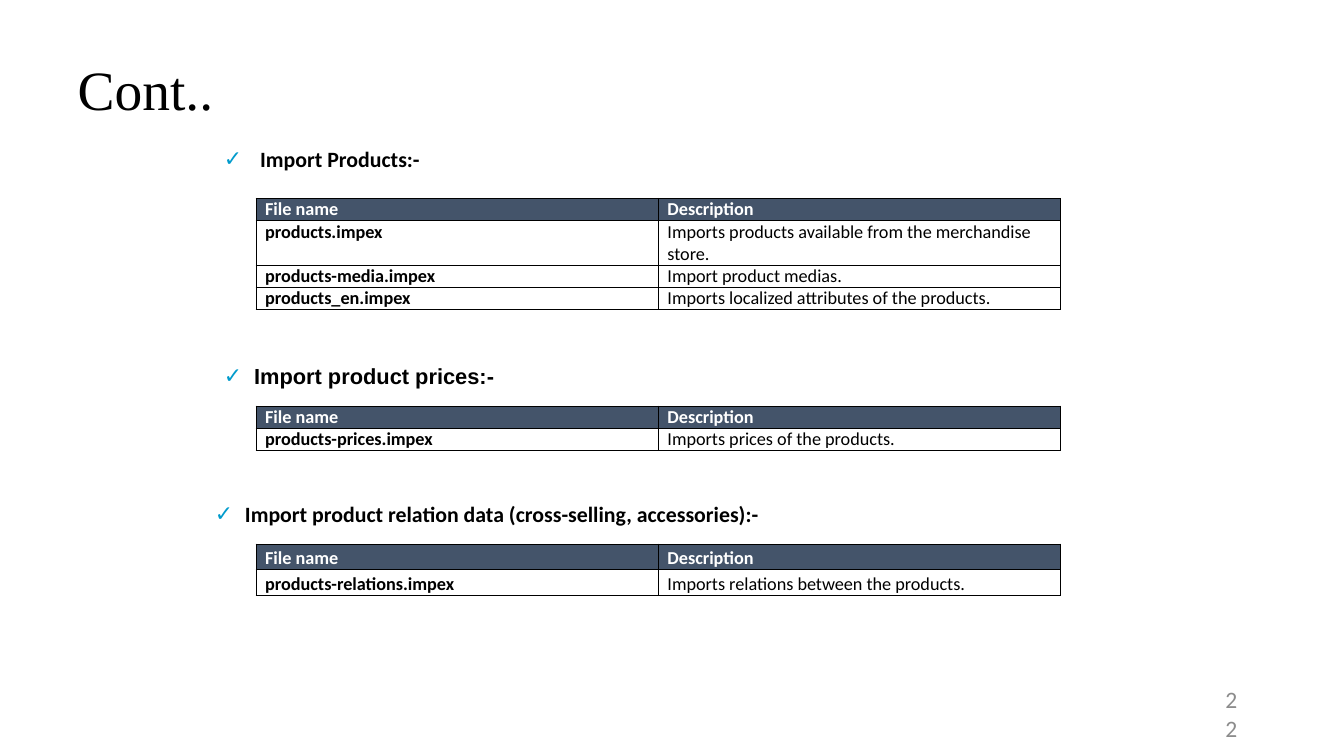
from lxml.etree import SubElement
from pptx import Presentation
from pptx.dml.color import RGBColor
from pptx.enum.text import MSO_ANCHOR, MSO_AUTO_SIZE, PP_ALIGN
from pptx.oxml.ns import qn
from pptx.util import Inches, Pt

BLACK, WHITE, SLATE, TEAL, GRAY = "000000", "FFFFFF", "44546A", "009BCC", "8C8C8C"
HEADER = ("File name", "Description")
TABLE_LEFT, COLUMN_WIDTH = 2.54, 3.99

SECTIONS = [
    {
        "heading": "Import Products:-", "font": "Calibri",
        "box": (1.32, 1.41, 10.5, 0.38), "indent": (0.94, -0.36),
        "table_top": 1.97, "heights": (0.22, 0.44, 0.22, 0.22), "spacing": 1.0,
        "files": [
            ("products.impex", "Imports products available from the merchandise store."),
            ("products-media.impex", "Import product medias."),
            ("products_en.impex", "Imports localized attributes of the products."),
        ],
    },
    {
        "heading": "Import product prices:-", "font": "Arial",
        "box": (1.6, 3.56, 10.5, 0.47), "indent": (0.6, -0.3),
        "table_top": 4.03, "heights": (0.22, 0.22), "spacing": 1.0,
        "files": [("products-prices.impex", "Imports prices of the products.")],
    },
    {
        "heading": "Import product relation data (cross-selling, accessories):-",
        "font": "Calibri",
        "box": (1.51, 4.93, 10.5, 0.47), "indent": (0.6, -0.3),
        "table_top": 5.4, "heights": (0.25, 0.25), "spacing": 1.15,
        "files": [("products-relations.impex", "Imports relations between the products.")],
    },
]


def color(value):
    """Turn a hex string into a colour."""
    return RGBColor.from_string(value)


class SlideBuilder:
    """Hold the text style and the current slide."""

    def __init__(self, slide, font="Calibri"):
        """Keep the slide and its main font."""
        self.slide = slide
        self.font = font

    def set_text(self, frame, text, size, ink, bold=False, font=None):
        """Put one formatted paragraph in a text frame."""
        paragraph = frame.paragraphs[0]
        paragraph.text = text
        for run in paragraph.runs:
            run.font.size = Pt(size)
            run.font.name = font or self.font
            run.font.bold = bold
            run.font.color.rgb = color(ink)
        return paragraph

    def place(self, shape, box):
        """Move and size a shape."""
        shape.left, shape.top, shape.width, shape.height = map(Inches, box)

    def title(self, text):
        """Fill the title placeholder."""
        heading = self.slide.shapes.title
        self.place(heading, (0.67, 0, 12, 1.3))
        frame = heading.text_frame
        frame.auto_size = MSO_AUTO_SIZE.NONE
        frame.vertical_anchor = MSO_ANCHOR.BOTTOM
        frame.margin_bottom = Inches(0.08)
        paragraph = self.set_text(frame, text, 39.6, BLACK, font="Times New Roman")
        paragraph.alignment = PP_ALIGN.LEFT
        paragraph.line_spacing = 0.9

    def check_item(self, body, text, box, indent, font):
        """Fill a body placeholder with a check-marked heading."""
        self.place(body, box)
        frame = body.text_frame
        frame.auto_size = MSO_AUTO_SIZE.NONE
        frame.vertical_anchor = MSO_ANCHOR.TOP
        frame.margin_left, frame.margin_right = Inches(0.32), Inches(0.08)
        frame.margin_top = frame.margin_bottom = Inches(0.04)
        paragraph = self.set_text(frame, text, 15.6, BLACK, True, font)
        paragraph.level = 2
        paragraph.space_before = Pt(0)
        properties = paragraph._p.get_or_add_pPr()
        margin, hanging = indent
        properties.set("marL", str(Inches(margin)))
        properties.set("indent", str(Inches(hanging)))
        bullet_color = SubElement(properties, qn("a:buClr"))
        SubElement(bullet_color, qn("a:srgbClr"), val=TEAL)
        SubElement(properties, qn("a:buFont"), typeface="Arial")
        SubElement(properties, qn("a:buChar"), char="✓")

    def borders(self, cell):
        """Draw thin black lines around a cell."""
        properties = cell._tc.get_or_add_tcPr()
        for position, side in enumerate(("a:lnL", "a:lnR", "a:lnT", "a:lnB")):
            line = SubElement(properties, qn(side), w=str(Pt(1)))
            fill = SubElement(line, qn("a:solidFill"))
            SubElement(fill, qn("a:srgbClr"), val=BLACK)
            properties.insert(position, line)

    def file_table(self, top, heights, files, spacing):
        """Add a table of file names and descriptions."""
        rows = [HEADER, *files]
        table = self.slide.shapes.add_table(
            len(rows), len(HEADER), Inches(TABLE_LEFT), Inches(top),
            Inches(COLUMN_WIDTH * len(HEADER)), Inches(sum(heights)),
        ).table
        table.horz_banding = False
        for column in table.columns:
            column.width = Inches(COLUMN_WIDTH)
        for r, (height, row) in enumerate(zip(heights, rows)):
            table.rows[r].height = Inches(height)
            for c, text in enumerate(row):
                cell = table.cell(r, c)
                cell.margin_left = cell.margin_right = Inches(0.09)
                cell.margin_top = cell.margin_bottom = 0
                is_header = r == 0
                if is_header:
                    cell.fill.solid()
                    cell.fill.fore_color.rgb = color(SLATE)
                else:
                    cell.fill.background()
                self.borders(cell)
                ink = WHITE if is_header else BLACK
                paragraph = self.set_text(cell.text_frame, text, 13, ink, is_header or c == 0)
                paragraph.line_spacing = spacing

    def page_number(self, text):
        """Add the page number in the lower right corner."""
        frame = self.slide.shapes.add_textbox(
            Inches(12.05), Inches(6.96), Inches(0.32), Inches(0.24)
        ).text_frame
        frame.word_wrap = True
        frame.vertical_anchor = MSO_ANCHOR.MIDDLE
        self.set_text(frame, text, 16.8, GRAY).alignment = PP_ALIGN.RIGHT


def main():
    """Build and save the slide."""
    presentation = Presentation()
    presentation.slide_width, presentation.slide_height = Inches(13.33), Inches(7.5)
    slide = presentation.slides.add_slide(presentation.slide_layouts.get_by_name("Comparison"))
    builder = SlideBuilder(slide)
    builder.title("Cont..")
    _, *bodies, spare = slide.placeholders
    spare.element.getparent().remove(spare.element)
    for body, section in zip(bodies, SECTIONS):
        builder.check_item(body, section["heading"], section["box"],
                           section["indent"], section["font"])
        builder.file_table(section["table_top"], section["heights"],
                           section["files"], section["spacing"])
    builder.page_number("22")
    presentation.save("out.pptx")


if __name__ == "__main__":
    main()
